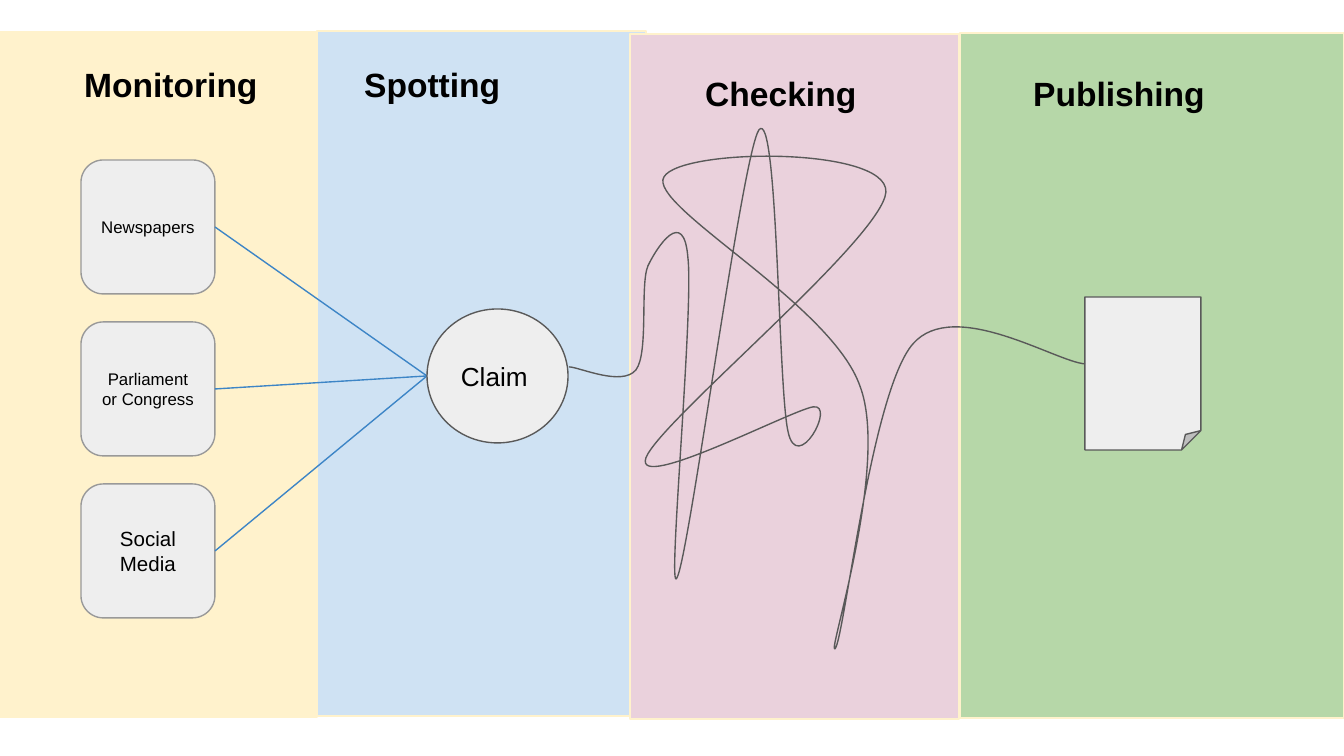
from dataclasses import dataclass

from lxml.etree import SubElement
from pptx import Presentation
from pptx.dml.color import RGBColor
from pptx.enum.shapes import MSO_CONNECTOR as CONN, MSO_SHAPE as SHAPE
from pptx.enum.text import MSO_ANCHOR as ANCHOR, PP_ALIGN as ALIGN
from pptx.oxml.ns import qn
from pptx.util import Pt

PX = 914400 / 134.4


@dataclass(frozen=True)
class Theme:
    font: str = "Arial"
    text: str = "000000"
    monitoring: str = "FFF2CC"
    spotting: str = "CFE2F3"
    checking: str = "EAD1DC"
    publishing: str = "B6D7A8"
    panel_line: str = "FFF2CC"
    node: str = "EEEEEE"
    box_line: str = "999999"
    dark_line: str = "595959"
    link: str = "3D85C6"
    title_pt: int = 18
    claim_pt: int = 14
    large_pt: int = 11
    small_pt: int = 9
    line_pt: float = 0.75


def emu(*lengths):
    return [round(n * PX) for n in lengths]


class Board:
    """Draws styled elements on the current slide, in px."""

    def __init__(self, slide, theme):
        self.s, self.t = slide, theme

    def stroke(self, line, color):
        line.color.rgb = RGBColor.from_string(color)
        line.width = Pt(self.t.line_pt)

    def label(self, sp, text, size, align=ALIGN.LEFT, anchor=ANCHOR.MIDDLE, bold=False):
        tf = sp.text_frame
        tf.text = text
        tf.word_wrap = True
        tf.vertical_anchor = anchor
        tf.margin_left = tf.margin_right = tf.margin_top = tf.margin_bottom = Pt(7.2)
        p = tf.paragraphs[0]
        p.alignment = align
        font = p.runs[0].font
        font.name, font.size, font.bold = self.t.font, Pt(size), bold
        font.color.rgb = RGBColor.from_string(self.t.text)

    def shape(self, kind, x, y, w, h, fill, line):
        sp = self.s.shapes.add_shape(kind, *emu(x, y, w, h))
        sp.shadow.inherit = False
        sp.fill.solid()
        sp.fill.fore_color.rgb = RGBColor.from_string(fill)
        self.stroke(sp.line, line)
        return sp

    def panel(self, x, y, w, fill):
        self.shape(SHAPE.RECTANGLE, x, y, w, 685, fill, self.t.panel_line)

    def title(self, x, y, w, text):
        sp = self.s.shapes.add_textbox(*emu(x, y, w, 59))
        self.label(sp, text, self.t.title_pt, anchor=ANCHOR.TOP, bold=True)

    def source(self, y, text, size):
        sp = self.shape(SHAPE.ROUNDED_RECTANGLE, 81, y, 134, 134, self.t.node, self.t.box_line)
        self.label(sp, text, size, ALIGN.CENTER)
        return sp

    def link(self, box, x, y):
        cxn = self.s.shapes.add_connector(CONN.STRAIGHT, 0, 0, *emu(x, y))
        cxn.begin_connect(box, 3)
        self.stroke(cxn.line, self.t.link)
        SubElement(cxn.element.spPr, qn("a:effectLst"))

    def curve(self, start, segments):
        fb = self.s.shapes.build_freeform(*start, scale=PX)
        fb.add_line_segments([pt for seg in segments for pt in seg], close=False)
        sp = fb.convert_to_shape()
        sp.shadow.inherit = False
        sp.fill.background()
        self.stroke(sp.line, self.t.dark_line)
        lines = sp.element.xpath(".//a:lnTo")
        outline = lines[0].getparent()
        for i in range(0, len(lines), 3):
            bezier = SubElement(outline, qn("a:cubicBezTo"))
            for line in lines[i:i + 3]:
                bezier.append(line[0])
                outline.remove(line)


SCRIBBLE = [
    [(579, 367), (622, 387), (636, 370)],
    [(649, 353), (640, 285), (648, 266)],
    [(657, 247), (684, 206), (688, 258)],
    [(694, 310), (667, 599), (677, 578)],
    [(689, 558), (742, 156), (759, 130)],
    [(778, 106), (778, 384), (788, 431)],
    [(797, 477), (837, 403), (813, 407)],
    [(790, 411), (634, 493), (646, 458)],
    [(659, 422), (883, 238), (886, 192)],
    [(888, 145), (667, 148), (663, 180)],
    [(659, 212), (832, 306), (860, 386)],
    [(890, 464), (827, 656), (835, 649)],
    [(844, 642), (871, 392), (913, 344)],
    [(954, 297), (1056, 362), (1085, 364)],
]


def main():
    prs = Presentation()
    prs.slide_width, prs.slide_height = emu(1344, 756)
    t = Theme()
    b = Board(prs.slides.add_slide(prs.slide_layouts[6]), t)

    b.panel(317, 31, 329, t.spotting)
    b.panel(960, 33, 384, t.publishing)
    b.panel(0, 32, 317, t.monitoring)
    b.panel(630, 34, 329, t.checking)

    b.title(71, 50, 223, "Monitoring")
    b.title(351, 50, 223, "Spotting")
    b.title(692, 59, 207, "Checking")
    b.title(1020, 59, 207, "Publishing")

    sources = [
        ("Newspapers", t.small_pt),
        ("Parliament or Congress", t.small_pt),
        ("Social Media", t.large_pt),
    ]
    for i, (text, size) in enumerate(sources):
        b.link(b.source(160 + 162 * i, text, size), 427, 376)

    claim = b.shape(SHAPE.OVAL, 427, 309, 141, 134, t.node, t.dark_line)
    b.label(claim, "Claim", t.claim_pt)
    b.shape(SHAPE.FOLDED_CORNER, 1085, 297, 116, 153, t.node, t.dark_line)
    b.curve((569, 367), SCRIBBLE)

    prs.save("out.pptx")


if __name__ == "__main__":
    main()
